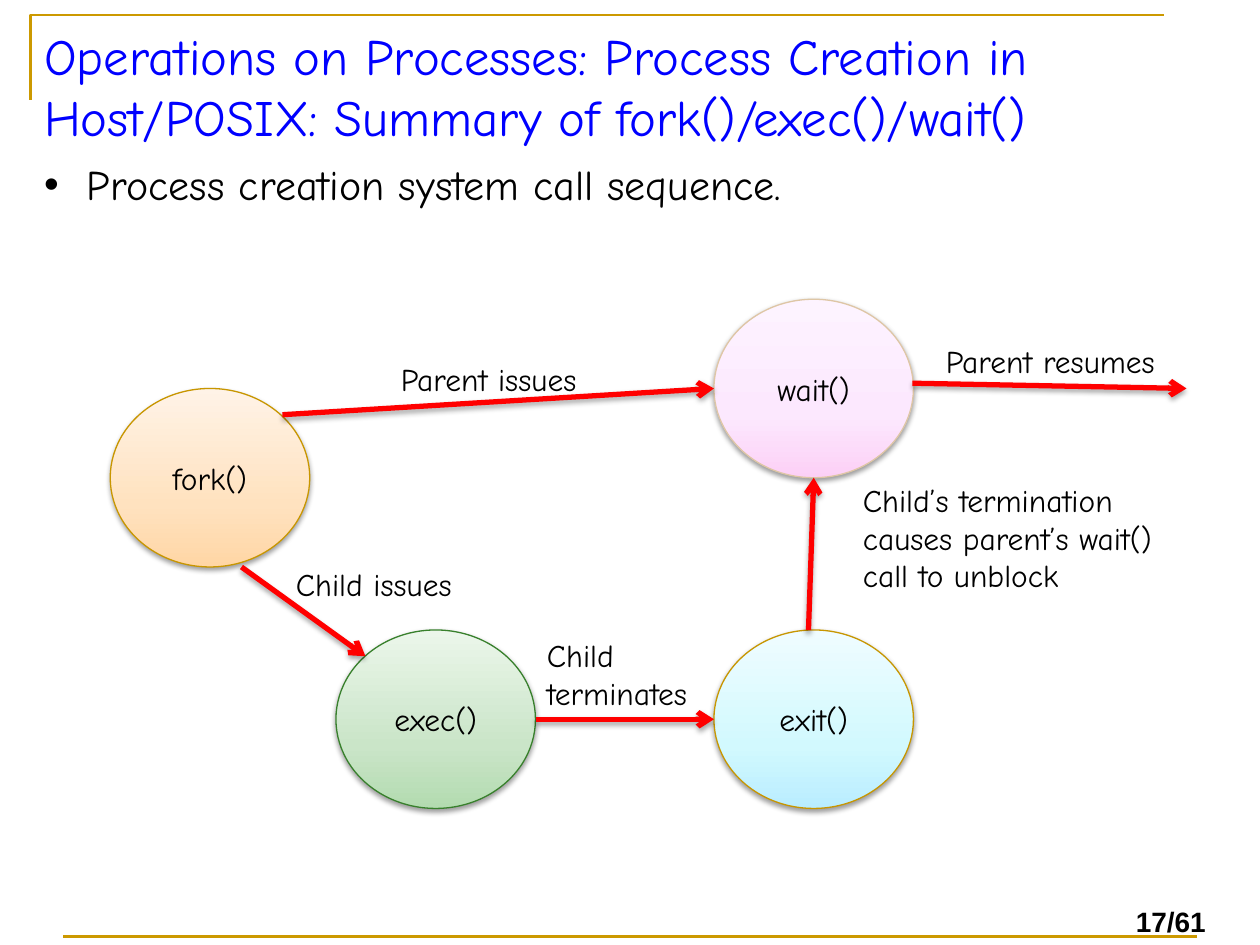
from copy import deepcopy
from dataclasses import dataclass

from pptx import Presentation
from pptx.dml.color import RGBColor
from pptx.enum.dml import MSO_LINE
from pptx.enum.shapes import MSO_CONNECTOR, MSO_SHAPE
from pptx.enum.text import MSO_ANCHOR, MSO_AUTO_SIZE, PP_ALIGN
from pptx.oxml import parse_xml
from pptx.oxml.ns import nsdecls, qn
from pptx.util import Emu, Inches, Pt

ELLIPSE = MSO_SHAPE.OVAL
STRAIGHT = MSO_CONNECTOR.STRAIGHT
SOLID = MSO_LINE.SOLID
TOP, MIDDLE = MSO_ANCHOR.TOP, MSO_ANCHOR.MIDDLE
LEFT, CENTER = PP_ALIGN.LEFT, PP_ALIGN.CENTER
FIXED, GROW = MSO_AUTO_SIZE.NONE, MSO_AUTO_SIZE.SHAPE_TO_FIT_TEXT

SLIDE_WIDTH, SLIDE_HEIGHT = Inches(10), Inches(7.5)
COLUMNS, ROWS = 120, 90
NODE_COLUMNS, NODE_ROWS = 19, 17
GRADIENT_POSITIONS = (0, 0.35, 1)


@dataclass(frozen=True)
class Theme:
    font: str = "Comic Neue"
    number_font: str = "Arial"
    title_color: str = "0000FF"
    text_color: str = "000000"
    rule_color: str = "CC9900"
    arrow_color: str = "FF0000"
    title_size: float = 29
    body_size: float = 24
    label_size: float = 18
    number_size: float = 16
    rule_width: float = 1.5
    arrow_width: float = 3
    node_width: float = 0.75


@dataclass(frozen=True)
class Area:
    column: float
    row: float
    columns: float
    rows: float


@dataclass(frozen=True)
class Node:
    text: str
    column: float
    row: float
    gradient: tuple[str, str, str]
    outline: str


@dataclass(frozen=True)
class Arrow:
    start: tuple[float, float]
    end: tuple[float, float]


@dataclass(frozen=True)
class Label:
    text: str
    area: Area


THEME = Theme()
TITLE = "Operations on Processes: Process Creation in Host/POSIX: Summary of fork()/exec()/wait()"
BULLET = "Process creation system call sequence."
TITLE_AREA = Area(3, 1.8, 108, 15)
BODY_AREA = Area(3, 14.5, 108, 59.4)
NUMBER = Label("17/61", Area(107, 85.6, 9.5, 4.4))
CORNER = ((2.9, 9.5), (2.9, 1.45), (110.9, 1.45))
FOOTER_RULE = Arrow((6, 89.2), (114, 89.2))

NODES = (
    Node("fork()", 10.5, 37, ("FFD6A5", "FFE2BF", "FFF3E7"), "C89600"),
    Node("exec()", 32, 60, ("B3DBB0", "CAE5C8", "EBF6EA"), "38802C"),
    Node("wait()", 68, 28.5, ("FCD0F6", "FCE8FE", "FDF3FF"), "DEC6A5"),
    Node("exit()", 68, 60, ("B9EDFF", "D2F9FE", "EFFCFF"), "C89600"),
)
ARROWS = (
    Arrow((26.9, 39.5), (68, 37)),
    Arrow((23, 54), (34.8, 62.5)),
    Arrow((51, 68.5), (68, 68.5)),
    Arrow((77, 60), (77.5, 45.5)),
    Arrow((86.9, 36.5), (113, 37)),
)
LABELS = (
    Label("Parent issues", Area(37, 33.7, 24.1, 4.8)),
    Label("Child issues", Area(27, 53.2, 24.1, 4.8)),
    Label("Parent resumes", Area(88.9, 32, 24.1, 4.8)),
    Label("Child terminates", Area(50.9, 60, 18.1, 8.5)),
    Label("Child’s termination causes parent’s wait() call to unblock", Area(81, 45.2, 32, 12.1)),
)


def across(column: float) -> Emu:
    return Emu(round(SLIDE_WIDTH * column / COLUMNS))


def down(row: float) -> Emu:
    return Emu(round(SLIDE_HEIGHT * row / ROWS))


def bounds(area: Area) -> tuple[Emu, Emu, Emu, Emu]:
    return across(area.column), down(area.row), across(area.columns), down(area.rows)


def apply(target, values: dict) -> None:
    for name, value in values.items():
        setattr(target, name, value)


def write(shape, text: str, size: float, color: str = THEME.text_color, font: str = THEME.font,
          bold: bool = False, align=LEFT, anchor=TOP, wrap: bool = True, fit=FIXED):
    frame = shape.text_frame
    frame.text = text
    apply(frame, {"word_wrap": wrap, "auto_size": fit, "vertical_anchor": anchor})
    paragraph = frame.paragraphs[0]
    paragraph.alignment = align
    run_font = paragraph.runs[0].font
    apply(run_font, {"name": font, "size": Pt(size), "bold": bold})
    run_font.color.rgb = RGBColor.from_string(color)
    return paragraph


def fill_placeholder(shape, area: Area, text: str, size: float, color: str):
    apply(shape, dict(zip(("left", "top", "width", "height"), bounds(area))))
    return write(shape, text, size, color)


def style_line(line, color: str, width: float) -> None:
    apply(line, {"width": Pt(width), "dash_style": SOLID})
    line.color.rgb = RGBColor.from_string(color)


def set_shadow(shape, opacity: int = 0, distance: float = 0) -> None:
    effects = parse_xml(f"<a:effectLst {nsdecls('a')}/>")
    if opacity:
        effects.append(parse_xml(
            f'<a:outerShdw {nsdecls("a")} blurRad="{Pt(3.1)}" dist="{Pt(distance)}" dir="5400000" '
            f'rotWithShape="0"><a:srgbClr val="000000"><a:alpha val="{opacity * 1000}"/>'
            "</a:srgbClr></a:outerShdw>"))
    shape._element.spPr.append(effects)


def add_line(slide, route: Arrow, color: str, width: float):
    (start_column, start_row), (end_column, end_row) = route.start, route.end
    connector = slide.shapes.add_connector(
        STRAIGHT, across(start_column), down(start_row), across(end_column), down(end_row))
    style_line(connector.line, color, width)
    return connector


def add_arrow(slide, route: Arrow) -> None:
    connector = add_line(slide, route, THEME.arrow_color, THEME.arrow_width)
    outline = connector._element.spPr.find(qn("a:ln"))
    outline.append(parse_xml(f'<a:tailEnd {nsdecls("a")} type="arrow"/>'))
    set_shadow(connector, 35, 1.8)


def add_node(slide, node: Node) -> None:
    area = Area(node.column, node.row, NODE_COLUMNS, NODE_ROWS)
    shape = slide.shapes.add_shape(ELLIPSE, *bounds(area))
    shape.fill.gradient()
    shape.fill.gradient_angle = 90
    stop_list = shape._element.spPr.find(".//" + qn("a:gsLst"))
    stop_list.append(deepcopy(stop_list[0]))
    for stop, position, color in zip(shape.fill.gradient_stops, GRADIENT_POSITIONS, node.gradient):
        stop.position = position
        stop.color.rgb = RGBColor.from_string(color)
    style_line(shape.line, node.outline, THEME.node_width)
    set_shadow(shape, 38, 1.6)
    write(shape, node.text, THEME.label_size, align=CENTER, anchor=MIDDLE)


def add_label(slide, label: Label, **text_format) -> None:
    shape = slide.shapes.add_textbox(*bounds(label.area))
    write(shape, label.text, fit=GROW, **text_format)


def add_frame(slide) -> None:
    first, *others = [(across(column), down(row)) for column, row in CORNER]
    builder = slide.shapes.build_freeform(*first)
    builder.add_line_segments(others, close=False)
    corner = builder.convert_to_shape()
    corner.fill.background()
    style_line(corner.line, THEME.rule_color, THEME.rule_width)
    set_shadow(corner)
    set_shadow(add_line(slide, FOOTER_RULE, THEME.rule_color, THEME.rule_width))
    add_label(slide, NUMBER, size=THEME.number_size, font=THEME.number_font, bold=True, wrap=False)


def main() -> None:
    presentation = Presentation()
    apply(presentation, {"slide_width": SLIDE_WIDTH, "slide_height": SLIDE_HEIGHT})
    slide = presentation.slides.add_slide(presentation.slide_layouts[1])
    add_frame(slide)
    title, body = slide.placeholders
    fill_placeholder(title, TITLE_AREA, TITLE, THEME.title_size, THEME.title_color)
    bullet = fill_placeholder(body, BODY_AREA, BULLET, THEME.body_size, THEME.text_color)
    properties = bullet._element.get_or_add_pPr()
    properties.set("marL", str(Inches(0.34)))
    properties.set("indent", str(-Inches(0.34)))
    for node in NODES:
        add_node(slide, node)
    for arrow in ARROWS:
        add_arrow(slide, arrow)
    for label in LABELS:
        add_label(slide, label, size=THEME.label_size)
    presentation.save("out.pptx")


if __name__ == "__main__":
    main()
